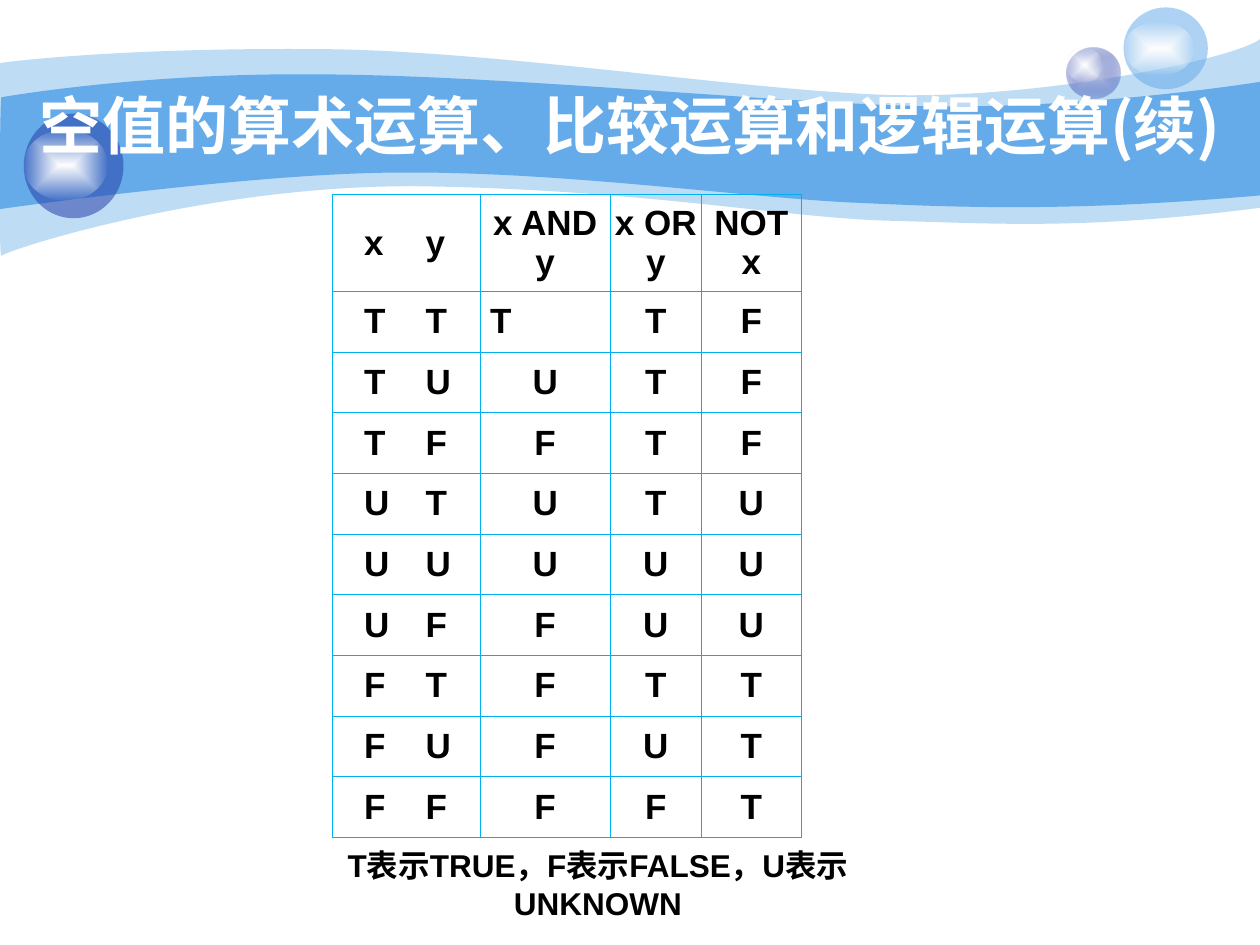
from pptx import Presentation
from pptx.dml.color import RGBColor
from pptx.enum.shapes import MSO_SHAPE
from pptx.enum.text import MSO_ANCHOR, PP_ALIGN
from pptx.oxml import parse_xml
from pptx.oxml.ns import nsdecls, qn
from pptx.util import Cm, Pt

SKY, NAVY, WHITE, BLACK, BORDER = "65AAE9", "233DA9", "FFFFFF", "000000", "00B0F0"
LATIN, CHINESE = "Arial", "Noto Sans CJK SC"

TITLE = [("空值", LATIN), ("的算术运算、比较运算和逻辑运算(续)", CHINESE)]
LEGEND = [("T表示TRUE，F表示FALSE，U表示UNKNOWN", LATIN)]
HEADINGS = ["x\ty", "x AND y", "x OR y", "NOT x"]
TRUTH_ROWS = ["TTTTF", "TUUTF", "TFFTF", "UTUTU", "UUUUU",
              "UFFUU", "FTFTT", "FUFUT", "FFFFT"]  # x, y, AND, OR, NOT
COLUMN_WIDTHS = [2.98, 2.62, 1.84, 2.01]
TABLE_HEIGHT, HEADING_HEIGHT = 12.7, 1.69

# Each wave: opacity, start point, then segments (3 points: Bézier curve, 1 point: line)
WAVES = [
    (41, (0, 1.27), [
        [(0.61, 1.19), (2.72, 0.97), (6.27, 0.99)],
        [(9.8, 0.99), (14.61, 1.78), (17.75, 1.91)],
        [(20.88, 2.03), (24.89, 1.19), (25.4, 0.79)],
        [(25.4, 4.19)],
        [(21.79, 4.65), (19.99, 4.5), (17.91, 4.45)],
        [(15.8, 4.39), (13.08, 3.84), (8.71, 3.76)],
        [(4.37, 3.66), (0.1, 5.05), (0.03, 5.16)],
        [(-0.03, 5.28), (0, 1.91), (0, 1.27)]]),
    (100, (0.03, 1.96), [
        [(0.05, 1.96), (2.79, 1.47), (6.3, 1.5)],
        [(9.8, 1.5), (15.11, 2.03), (18.24, 2.13)],
        [(21.36, 2.24), (24.79, 1.75), (25.4, 1.65)],
        [(25.4, 3.94)],
        [(21.67, 4.27), (19.43, 4.19), (17.32, 4.09)],
        [(15.21, 4.01), (11.35, 3.45), (8.05, 3.48)],
        [(5.16, 3.48), (-0.05, 4.22), (-0.03, 4.22)],
        [(0, 4.22), (0, 1.96), (0.03, 1.96)]]),
]

# Fills are lists of (colour, opacity): one entry is solid, two go from centre to edge
GLOW = [(WHITE, 100), (WHITE, 0)]
BUBBLES = [  # ball box, ball fill, glow box
    ((21.51, 0.97, 1.07, 1.02), [("C7CEE9", 100), (NAVY, 31)], (21.51, 0.97, 0.71, 0.69)),
    ((22.65, 0.15, 1.7, 1.65), [(SKY, 53)], (22.65, 0.43, 1.42, 1.09)),
    ((0.48, 2.29, 2.01, 2.11), [(NAVY, 53)], (0.48, 2.62, 1.68, 1.42)),
]


def rgb(colour):
    return RGBColor.from_string(colour)


def paint(shape, stops):
    """Fill a shape with one translucent colour or a rectangular gradient, no line."""
    shape.shadow.inherit = False
    shape.line.fill.background()
    shape.fill.background()
    colours = [f'<a:srgbClr val="{c}"><a:alpha val="{a * 1000}"/></a:srgbClr>' for c, a in stops]
    if len(colours) == 1:
        xml = f'<a:solidFill {nsdecls("a")}>{colours[0]}</a:solidFill>'
    else:
        xml = (f'<a:gradFill {nsdecls("a")} rotWithShape="1"><a:gsLst>'
               f'<a:gs pos="0">{colours[0]}</a:gs><a:gs pos="100000">{colours[1]}</a:gs></a:gsLst>'
               '<a:path path="rect"><a:fillToRect l="50000" t="50000" r="50000" b="50000"/>'
               '</a:path></a:gradFill>')
    properties = shape._element.spPr
    properties.replace(properties.find(qn("a:noFill")), parse_xml(xml))


def add_wave(shapes, opacity, start, segments):
    """Draw the outline through the segment ends, then bend the curved segments."""
    builder = shapes.build_freeform(Cm(start[0]), Cm(start[1]))
    builder.add_line_segments([(Cm(x), Cm(y)) for *_, (x, y) in segments], close=True)
    wave = builder.convert_to_shape()
    lines = list(wave._element.iter(qn("a:lnTo")))
    for line, segment in zip(lines, segments):
        if len(segment) == 3:
            points = "".join(f'<a:pt x="{Cm(x) - wave.left}" y="{Cm(y) - wave.top}"/>'
                             for x, y in segment)
            line.getparent().replace(line, parse_xml(
                f'<a:cubicBezTo {nsdecls("a")}>{points}</a:cubicBezTo>'))
    paint(wave, [(SKY, opacity)])


def write(paragraph, runs, size, colour, align=PP_ALIGN.CENTER):
    paragraph.alignment = align
    for words, font_name in runs:
        run = paragraph.add_run()
        run.text = words
        run.font.name, run.font.size, run.font.bold = font_name, Pt(size), True
        run.font.color.rgb = rgb(colour)


def add_text(shapes, box, runs, size, colour, anchor, inset):
    frame = shapes.add_textbox(*map(Cm, box)).text_frame
    frame.word_wrap = True
    frame.vertical_anchor = anchor
    frame.margin_left = frame.margin_right = Cm(inset)
    write(frame.paragraphs[0], runs, size, colour)


def fill_cell(cell, words, left_inset=None):
    """Write one cell; a left inset makes it left-aligned."""
    cell.fill.background()
    cell.vertical_anchor = MSO_ANCHOR.MIDDLE
    cell.margin_left, cell.margin_right = Cm(left_inset or 0.08), Cm(0.08)
    cell.margin_top = cell.margin_bottom = Cm(0.13)
    properties = cell._tc.get_or_add_tcPr()
    for position, side in enumerate("LRTB"):
        properties.insert(position, parse_xml(
            f'<a:ln{side} {nsdecls("a")} w="{Pt(0.45)}"><a:solidFill>'
            f'<a:srgbClr val="{BORDER}"/></a:solidFill></a:ln{side}>'))
    paragraph = cell.text_frame.paragraphs[0]
    if "\t" in words:
        paragraph._p.get_or_add_pPr().append(parse_xml(
            f'<a:tabLst {nsdecls("a")}><a:tab pos="{Cm(1.24)}" algn="l"/></a:tabLst>'))
    align = PP_ALIGN.LEFT if left_inset else PP_ALIGN.CENTER
    write(paragraph, [(words, LATIN)], 20, BLACK, align)


def add_truth_table(shapes):
    rows = [HEADINGS] + [[f"{x}\t{y}", *results] for x, y, *results in TRUTH_ROWS]
    row_height = (TABLE_HEIGHT - HEADING_HEIGHT) / len(TRUTH_ROWS)
    heights = [HEADING_HEIGHT] + [row_height] * len(TRUTH_ROWS)
    table = shapes.add_table(len(rows), len(HEADINGS), Cm(6.7), Cm(3.92),
                             Cm(sum(COLUMN_WIDTHS)), Cm(TABLE_HEIGHT)).table
    table.first_row = table.horz_banding = False
    for column, width in zip(table.columns, COLUMN_WIDTHS):
        column.width = Cm(width)
    for r, (row, height) in enumerate(zip(rows, heights)):
        table.rows[r].height = Cm(height)
        for c, words in enumerate(row):
            left_inset = 0.64 if c == 0 else 0.2 if (r, c) == (1, 1) else None
            fill_cell(table.cell(r, c), words, left_inset)


def main():
    deck = Presentation()
    deck.slide_width, deck.slide_height = Cm(25.4), Cm(19.05)
    shapes = deck.slides.add_slide(deck.slide_layouts[6]).shapes
    for wave in WAVES:
        add_wave(shapes, *wave)
    for ball_box, ball_fill, glow_box in BUBBLES:
        bubble = shapes.add_group_shape().shapes
        for box, stops in ((ball_box, ball_fill), (glow_box, GLOW)):
            paint(bubble.add_shape(MSO_SHAPE.OVAL, *map(Cm, box)), stops)
    add_text(shapes, (0, 0.93, 25.4, 3.15), TITLE, 36, WHITE, MSO_ANCHOR.MIDDLE, 0)
    add_text(shapes, (6.15, 16.93, 11.81, 1.78), LEGEND, 18, BLACK, MSO_ANCHOR.TOP, 0.25)
    add_truth_table(shapes)
    deck.save("out.pptx")


if __name__ == "__main__":
    main()
